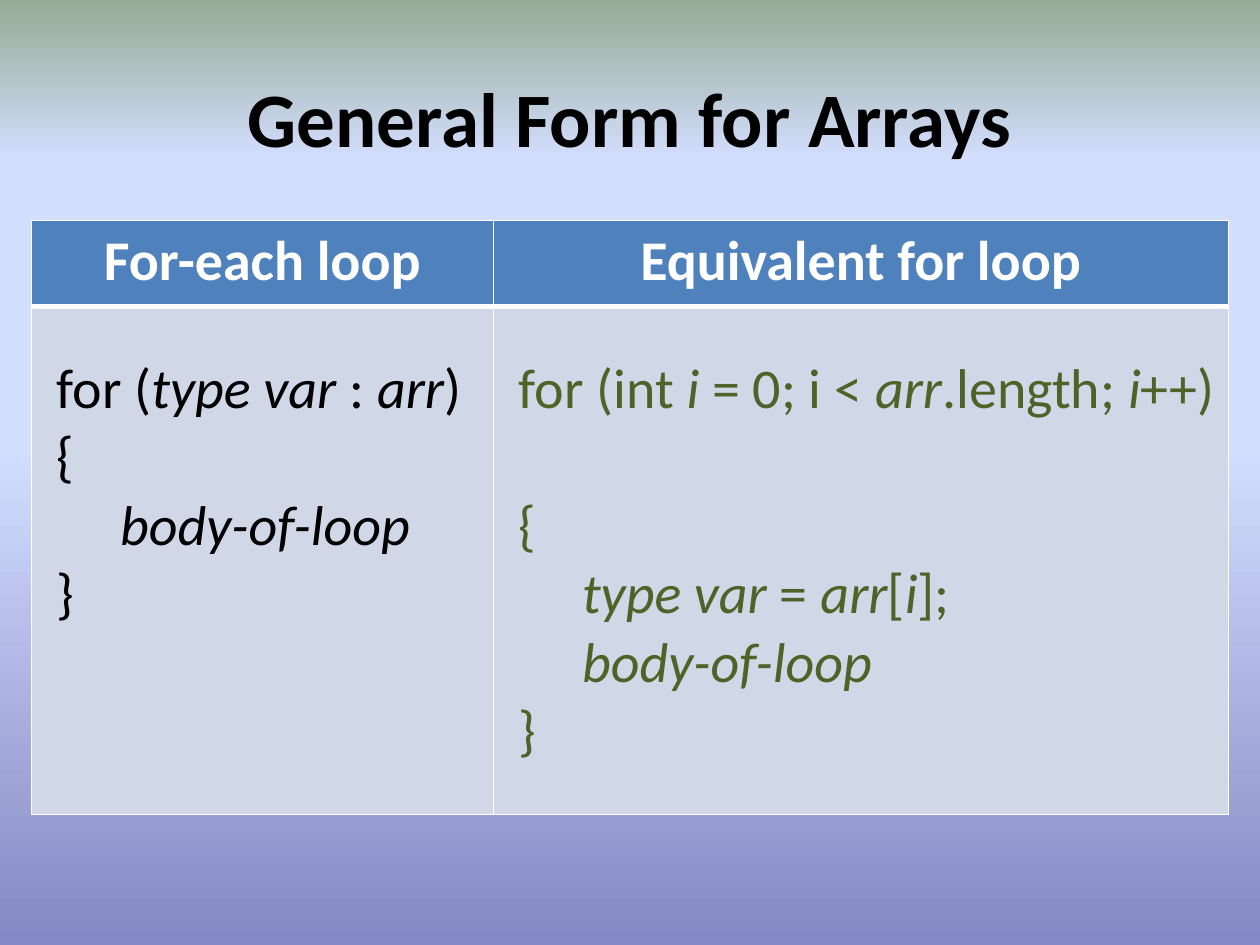
from dataclasses import dataclass

from lxml import etree
from pptx import Presentation
from pptx.dml.color import RGBColor
from pptx.enum.text import MSO_ANCHOR, PP_ALIGN
from pptx.oxml.ns import qn
from pptx.util import Pt

CENTER = PP_ALIGN.CENTER
LEFT = PP_ALIGN.LEFT
MIDDLE = MSO_ANCHOR.MIDDLE
FONT = "Calibri"
WHITE, BLACK, GREEN = "FFFFFF", "000000", "4F6228"
HEADER_FILL, BODY_FILL = "4F81BD", "D0D8E8"
GRADIENT = [(0, "8488C4"), (53, "D4DEFF"), (83, "D4DEFF"), (100, "96AB94")]
TABLE_SIZE = 32
CODE_INDENT = 36.2


@dataclass
class CodeLine:
    text: str  # parts between asterisks are italic
    indented: bool = False
    space_before: float = 0


@dataclass
class LoopColumn:
    heading: str
    width: float
    color: str
    lines: list[CodeLine]


COLUMNS = [
    LoopColumn("For-each loop", 264, BLACK, [
        CodeLine("for (*type var* : *arr*)"),
        CodeLine("{"),
        CodeLine("*body-of-loop*", indented=True),
        CodeLine("}"),
    ]),
    LoopColumn("Equivalent for loop", 420, GREEN, [
        CodeLine("for (int *i* = 0; i < *arr*.length; *i*++)"),
        CodeLine("{", space_before=39),
        CodeLine("*type var* = *arr*[*i*];", indented=True),
        CodeLine("*body-of-loop*", indented=True),
        CodeLine("}"),
    ]),
]


def rgb(color: str) -> RGBColor:
    return RGBColor.from_string(color)


def write_paragraph(paragraph, text: str, size: float, color: str,
                    bold: bool, alignment) -> None:
    """Write text whose parts between asterisks are italic."""
    paragraph.alignment = alignment
    for index, part in enumerate(text.split("*")):
        if not part:
            continue
        run = paragraph.add_run()
        run.text = part
        run.font.name = FONT
        run.font.size = Pt(size)
        run.font.bold = bold
        run.font.italic = index % 2 == 1
        run.font.color.rgb = rgb(color)


def paint_background(slide) -> None:
    slide.background.fill.gradient()
    gradient = slide.element.find(".//" + qn("a:gradFill"))
    stops = gradient.find(qn("a:gsLst"))
    for stop in list(stops):
        stops.remove(stop)
    for position, color in GRADIENT:
        stop = etree.SubElement(stops, qn("a:gs"), pos=str(position * 1000))
        etree.SubElement(stop, qn("a:srgbClr"), val=color)
    gradient.find(qn("a:lin")).set("ang", str(270 * 60000))


def style_cell(cell, fill: str, top: float, bottom: float) -> None:
    """Fill the cell and give it white borders, widths in points."""
    cell.fill.solid()
    cell.fill.fore_color.rgb = rgb(fill)
    properties = cell._tc.get_or_add_tcPr()
    widths = {"a:lnL": 1, "a:lnR": 1, "a:lnT": top, "a:lnB": bottom}
    for index, (tag, width) in enumerate(widths.items()):
        line = etree.Element(qn(tag), w=str(Pt(width)))
        line_fill = etree.SubElement(line, qn("a:solidFill"))
        etree.SubElement(line_fill, qn("a:srgbClr"), val=WHITE)
        properties.insert(index, line)


def write_code(cell, column: LoopColumn) -> None:
    cell.margin_left, cell.margin_right = Pt(14.4), Pt(3)
    cell.margin_top = Pt(28)
    text_frame = cell.text_frame
    for index, line in enumerate(column.lines):
        paragraph = text_frame.add_paragraph() if index else text_frame.paragraphs[0]
        write_paragraph(paragraph, line.text, TABLE_SIZE, column.color, False, LEFT)
        if line.space_before:
            paragraph.space_before = Pt(line.space_before)
        if line.indented:
            paragraph._p.get_or_add_pPr().set("marL", str(Pt(CODE_INDENT)))


def add_title(slide, text: str) -> None:
    text_box = slide.shapes.add_textbox(Pt(36), Pt(21.6), Pt(648), Pt(90))
    text_frame = text_box.text_frame
    text_frame.word_wrap = True
    text_frame.vertical_anchor = MIDDLE
    write_paragraph(text_frame.paragraphs[0], text, 44, BLACK, True, CENTER)


def add_loop_table(slide) -> None:
    row_heights = [49, 290.5]
    table = slide.shapes.add_table(
        len(row_heights), len(COLUMNS), Pt(18), Pt(126),
        Pt(sum(column.width for column in COLUMNS)), Pt(sum(row_heights))).table
    for row, height in zip(table.rows, row_heights):
        row.height = Pt(height)
    for index, column in enumerate(COLUMNS):
        table.columns[index].width = Pt(column.width)
        heading, code = table.cell(0, index), table.cell(1, index)
        style_cell(heading, HEADER_FILL, top=1, bottom=3)
        write_paragraph(heading.text_frame.paragraphs[0], column.heading,
                        TABLE_SIZE, WHITE, True, CENTER)
        style_cell(code, BODY_FILL, top=3, bottom=1)
        write_code(code, column)


def main() -> None:
    presentation = Presentation()
    presentation.slide_width, presentation.slide_height = Pt(720), Pt(540)
    slide = presentation.slides.add_slide(presentation.slide_layouts[6])
    paint_background(slide)
    add_title(slide, "General Form for Arrays")
    add_loop_table(slide)
    presentation.save("out.pptx")


if __name__ == "__main__":
    main()
